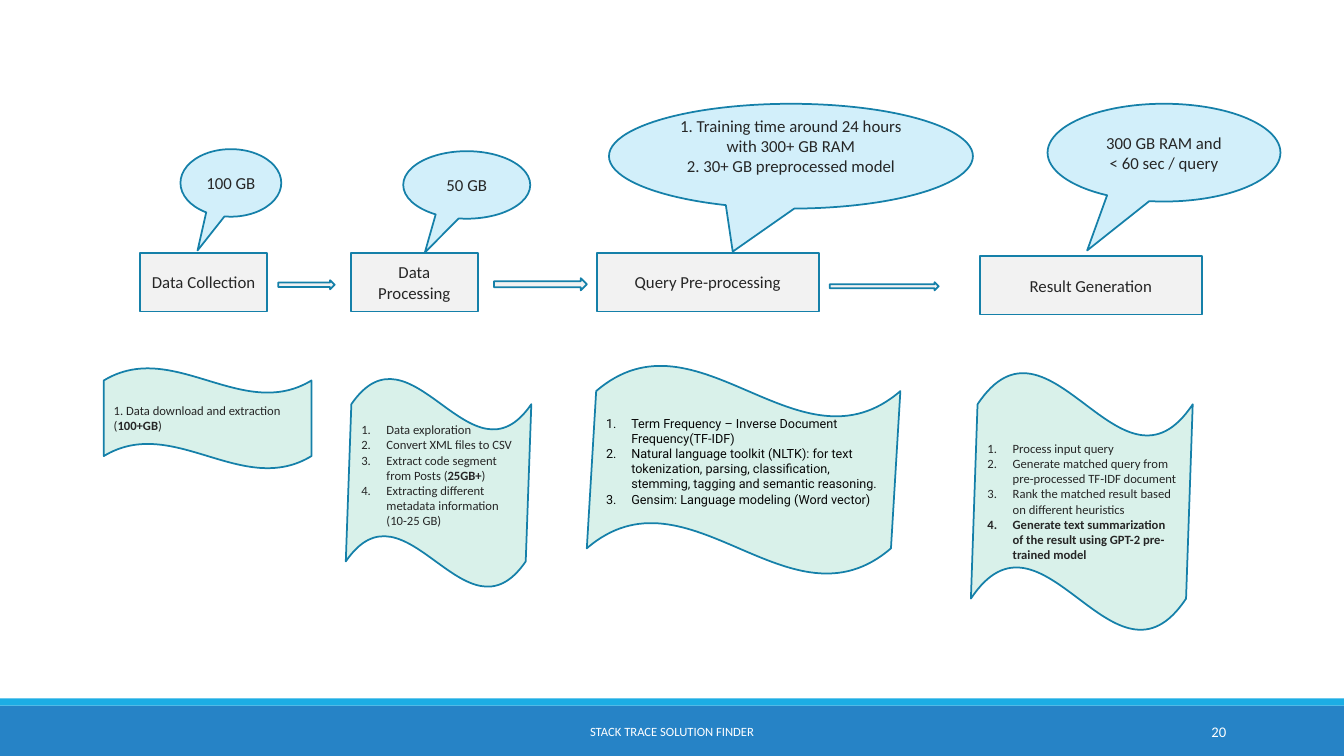
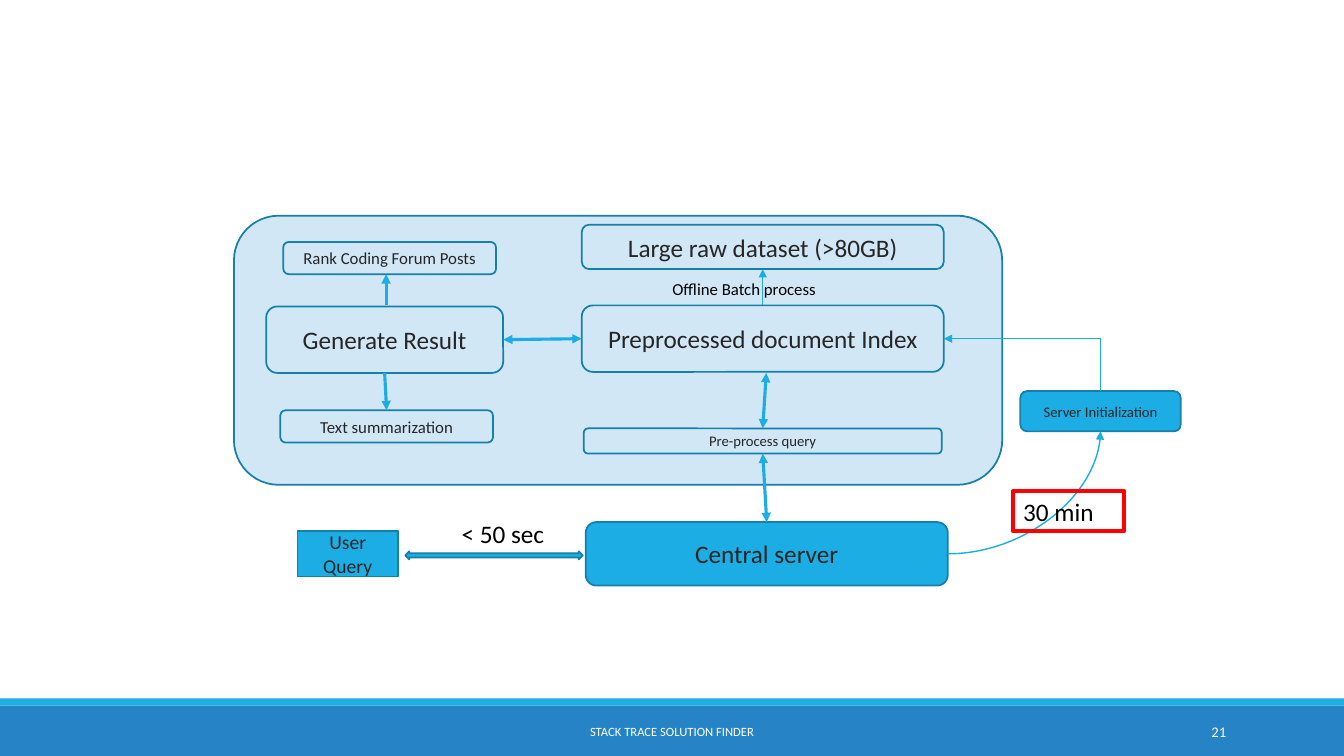
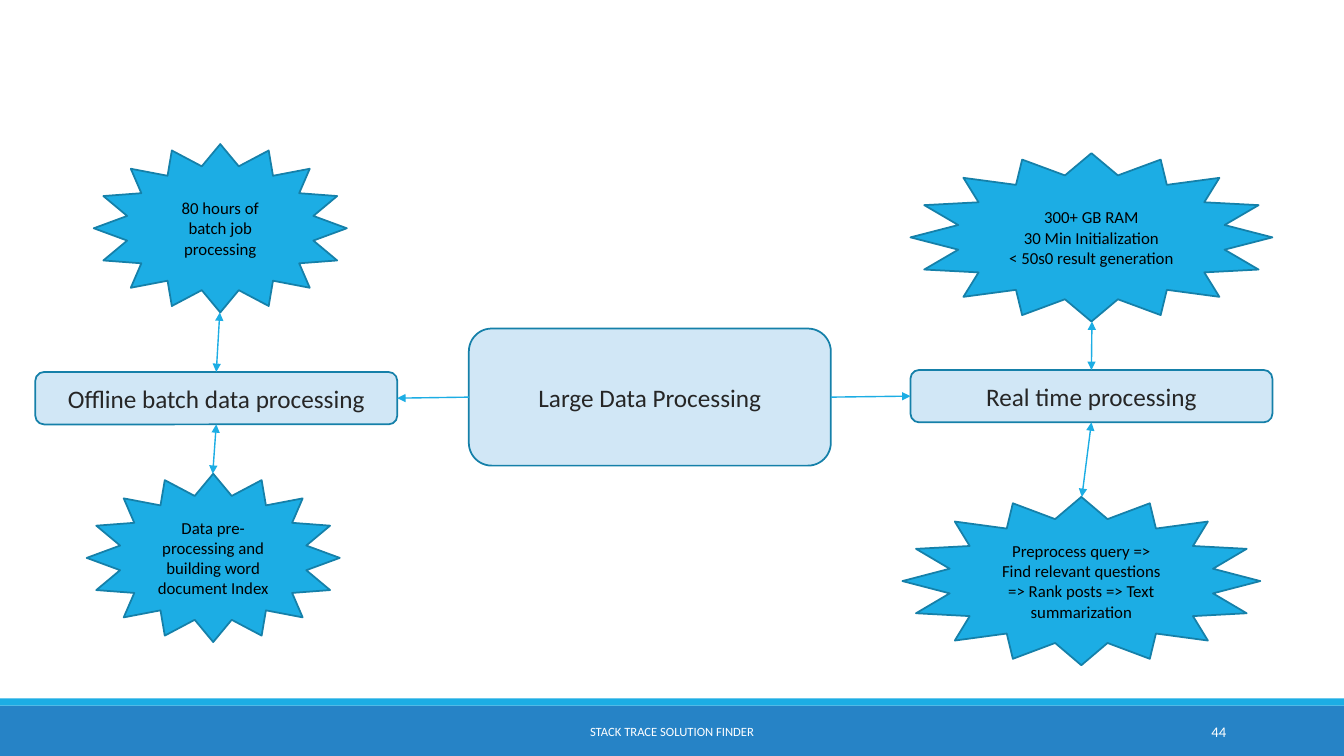
"""Build three slides on the pipeline, architecture and processing load of a stack trace finder."""
from lxml import etree
from pptx import Presentation
from pptx.dml.color import RGBColor
from pptx.enum.shapes import MSO_CONNECTOR, MSO_SHAPE
from pptx.enum.text import MSO_ANCHOR, PP_ALIGN
from pptx.oxml.ns import qn
from pptx.util import Inches, Pt

RECT = MSO_SHAPE.RECTANGLE
ROUND = MSO_SHAPE.FLOWCHART_ALTERNATE_PROCESS
ARROW = MSO_SHAPE.RIGHT_ARROW
TWO_WAY = MSO_SHAPE.LEFT_RIGHT_ARROW
WAVE = MSO_SHAPE.WAVE
CALLOUT = MSO_SHAPE.OVAL_CALLOUT
STAR = MSO_SHAPE.STAR_16_POINT
STRAIGHT, ELBOW, CURVE = MSO_CONNECTOR.STRAIGHT, MSO_CONNECTOR.ELBOW, MSO_CONNECTOR.CURVE
LEFT, CENTER, RIGHT = PP_ALIGN.LEFT, PP_ALIGN.CENTER, PP_ALIGN.RIGHT
MIDDLE = MSO_ANCHOR.MIDDLE
TOP_SIDE, LEFT_SIDE, BOTTOM_SIDE, RIGHT_SIDE = range(4)

WHITE = RGBColor(0xFF, 0xFF, 0xFF)
BLACK = RGBColor(0x00, 0x00, 0x00)
INK = RGBColor(0x26, 0x26, 0x26)
NEAR_BLACK = RGBColor(0x09, 0x09, 0x09)
RED = RGBColor(0xFF, 0x00, 0x00)
BLUE = RGBColor(0x26, 0x83, 0xC6)
CYAN = RGBColor(0x1C, 0xAD, 0xE4)
OUTLINE = RGBColor(0x15, 0x80, 0xA9)
PALE_BLUE = RGBColor(0xD1, 0xE7, 0xF6)
BUBBLE = RGBColor(0xD2, 0xEF, 0xFA)
MINT = RGBColor(0xD9, 0xF1, 0xEA)
GREY = RGBColor(0xF2, 0xF2, 0xF2)


def box(s, kind, at, fill=None, paras=(), size=12, color=INK, align=CENTER, line=OUTLINE,
        weight=1.25, font="Calibri", numbered=False, wrap=True, bottom=0.05, adj=()):
    """Add a shape, or a text box when kind is None; asterisks enclose bold text."""
    place = [Inches(v) for v in at]
    if kind is None:
        sp = s.shapes.add_textbox(*place)
    else:
        sp = s.shapes.add_shape(kind, *place)
        sp.shadow.inherit = False
        if fill is None:
            sp.fill.background()
        else:
            sp.fill.solid()
            sp.fill.fore_color.rgb = fill
        if line is None:
            sp.line.fill.background()
        else:
            sp.line.color.rgb = line
            sp.line.width = Pt(weight)
        for i, value in enumerate(adj):
            sp.adjustments[i] = value
    tf = sp.text_frame
    tf.word_wrap = wrap
    tf.vertical_anchor = MIDDLE
    tf.margin_bottom = Inches(bottom)
    for i, text in enumerate(paras):
        p = tf.add_paragraph() if i else tf.paragraphs[0]
        p.alignment = align
        if numbered:
            pPr = p._p.get_or_add_pPr()
            pPr.set("marL", str(Inches(0.25)))
            pPr.set("indent", str(-Inches(0.25)))
            etree.SubElement(pPr, qn("a:buFont"), typeface="+mj-lt")
            etree.SubElement(pPr, qn("a:buAutoNum"), type="arabicPeriod")
        for j, part in enumerate(text.split("*")):
            if part:
                r = p.add_run()
                r.text = part
                r.font.name, r.font.size = font, Pt(size)
                r.font.bold = j % 2 == 1
                r.font.color.rgb = color
    return sp


def link(s, boxes, start, end, weight=1, arrows="tail", kind=STRAIGHT, preset=None):
    """Join two ends, each a point or a box name with a side."""
    points = [(0, 0) if e[0] in boxes else e for e in (start, end)]
    c = s.shapes.add_connector(kind, *[Inches(v) for point in points for v in point])
    if start[0] in boxes:
        c.begin_connect(boxes[start[0]], start[1])
    if end[0] in boxes:
        c.end_connect(boxes[end[0]], end[1])
    c.line.color.rgb = CYAN
    c.line.width = Pt(weight)
    spPr = c.element.spPr
    for arrow in arrows.split():
        etree.SubElement(spPr.find(qn("a:ln")), qn(f"a:{arrow}End"), type="triangle")
    etree.SubElement(spPr, qn("a:effectLst"))
    if preset:
        spPr.find(qn("a:prstGeom")).set("prst", preset)


prs = Presentation()
prs.slide_width, prs.slide_height = Inches(13.33), Inches(7.5)
blank = prs.slide_layouts[6]
slides = [prs.slides.add_slide(blank) for _ in range(3)]
pipeline, architecture, workload = slides

for at, fill in (((0, 7, 13.33, 0.5), BLUE), ((0, 6.93, 13.33, 0.07), CYAN)):
    band = box(pipeline, RECT, at, fill, line=None)
    blank.shapes.element.append(band.element)

for s, number in zip(slides, ("20", "21", "44")):
    box(s, None, (4.03, 7.06, 5.27, 0.4), paras=["STACK TRACE SOLUTION FINDER"], size=9, color=WHITE)
    box(s, None, (10.83, 7.06, 1.43, 0.4), paras=[number], size=10.5, color=WHITE, align=RIGHT)

for x, y, w, text in (
    (1.39, 2.51, 1.26, "Data Collection"),
    (3.48, 2.51, 1.26, "Data Processing"),
    (5.92, 2.51, 2.2, "Query Pre-processing"),
    (9.72, 2.54, 2.2, "Result Generation"),
):
    box(pipeline, RECT, (x, y, w, 0.58), GREY, [text])

for at in ((2.76, 2.78, 0.56, 0.09), (4.9, 2.76, 0.92, 0.12), (8.23, 2.8, 1.08, 0.08)):
    box(pipeline, ARROW, at, GREY)

box(pipeline, WAVE, (1.03, 3.65, 2.06, 1), MINT,
    ["1. Data download and extraction (*100+GB*)"], size=9, align=LEFT)

for at, bottom, font, color, steps in (
    ((3.43, 3.75, 1.84, 2.08), 0.2, "Calibri", INK, [
        "Data exploration",
        "Convert XML files to CSV",
        "Extract code segment from Posts (*25GB+*)",
        "Extracting different metadata information (10-25 GB)",
    ]),
    ((5.82, 3.62, 3.11, 2.08), 0.22, "Roboto", NEAR_BLACK, [
        "Term Frequency – Inverse Document Frequency(TF-IDF)",
        "Natural language toolkit (NLTK): for text tokenization, parsing, classification, "
        "stemming, tagging and semantic reasoning.",
        "Gensim: Language modeling (Word vector)",
    ]),
    ((9.63, 3.69, 2.2, 2.57), 0.05, "Calibri", INK, [
        "Process input query",
        "Generate matched query from pre-processed TF-IDF document",
        "Rank the matched result based on different heuristics",
        "*Generate text summarization of the result using GPT-2 pre-trained model*",
    ]),
):
    box(pipeline, WAVE, at, MINT, steps, size=9, color=color, align=LEFT, font=font,
        numbered=True, bottom=bottom, adj=(0.125, -0.015))

for at, tip, bottom, lines in (
    ((1.79, 1.48, 1, 0.67), (-0.33, 1), 0.05, ["100 GB"]),
    ((4, 1.5, 1.26, 0.67), (-0.33, 1), 0.05, ["50 GB"]),
    ((6.04, 1.03, 3.61, 1.04), (-0.16, 0.91), 0.25,
     ["1. Training time around 24 hours with 300+ GB RAM", "2. 30+ GB preprocessed model"]),
    ((10.39, 1.03, 2.31, 0.97), (-0.33, 1), 0.05, ["300 GB RAM and", "< 60 sec / query"]),
):
    box(pipeline, CALLOUT, at, BUBBLE, lines, bottom=bottom, adj=tip)

box(architecture, ROUND, (2.32, 2.14, 7.62, 2.67), PALE_BLUE)
parts = {}
for name, at, fill, text, size in (
    ("server", (5.81, 5.18, 3.59, 0.63), CYAN, "Central server", 18),
    ("dataset", (5.77, 2.23, 3.59, 0.44), PALE_BLUE, "Large raw dataset (>80GB)", 18),
    ("index", (5.77, 3.03, 3.59, 0.66), PALE_BLUE, "Preprocessed document Index", 18),
    ("query", (5.79, 4.25, 3.55, 0.25), PALE_BLUE, "Pre-process query", 10.5),
    ("startup", (10.12, 3.88, 1.59, 0.4), CYAN, "Server Initialization", 10.5),
    ("result", (2.64, 3.04, 2.35, 0.66), PALE_BLUE, "Generate Result", 18),
    ("rank", (2.81, 2.4, 2.11, 0.32), PALE_BLUE, "Rank Coding Forum Posts", 12),
    ("summary", (2.78, 4.07, 2.11, 0.32), PALE_BLUE, "Text summarization", 12),
):
    parts[name] = box(architecture, ROUND, at, fill, [text], size)
box(architecture, RECT, (2.95, 5.27, 1, 0.45), CYAN, ["User Query"], 14)
box(architecture, TWO_WAY, (4.02, 5.47, 1.76, 0.08), CYAN)

for start, end, weight, arrows in (
    (("index", TOP_SIDE), ("dataset", BOTTOM_SIDE), 1, "tail"),
    ((3.83, 3.03), (3.83, 2.72), 2.25, "tail"),
    (("result", BOTTOM_SIDE), ("summary", TOP_SIDE), 2.25, "tail"),
    (("result", RIGHT_SIDE), ("index", LEFT_SIDE), 2.25, "head tail"),
    ((7.6, 3.7), ("query", TOP_SIDE), 2.25, "head tail"),
    (("query", BOTTOM_SIDE), ("server", TOP_SIDE), 2.25, "head tail"),
):
    link(architecture, parts, start, end, weight, arrows)
link(architecture, parts, ("server", RIGHT_SIDE), ("startup", BOTTOM_SIDE),
     kind=CURVE, preset="curvedConnector2")
link(architecture, parts, ("index", RIGHT_SIDE), ("startup", TOP_SIDE), arrows="head",
     kind=ELBOW, preset="bentConnector2")

for at, text, size in (
    ((6.57, 2.72, 1.65, 0.3), "Offline Batch process", 12),
    ((4.48, 5.09, 1.03, 0.4), "< 50 sec", 18),
):
    box(architecture, None, at, paras=[text], size=size, color=BLACK, align=LEFT, wrap=False)
box(architecture, RECT, (10.05, 4.87, 1.1, 0.4), None, ["30 min"], 18, BLACK, LEFT, RED, 3)

modes = {}
for name, at, text in (
    ("hub", (4.65, 3.26, 3.59, 1.36), "Large Data Processing"),
    ("offline", (0.35, 3.69, 3.59, 0.52), "Offline batch data processing"),
    ("realtime", (9.03, 3.67, 3.59, 0.52), "Real time processing"),
):
    modes[name] = box(workload, ROUND, at, PALE_BLUE, [text], 18)

for x, y, w, lines in (
    (0.86, 4.7, 2.51, ["Data pre-processing and building word document Index"]),
    (0.93, 1.43, 2.51, ["80 hours of batch job processing"]),
    (9.03, 1.52, 3.59, ["300+ GB RAM", "30 Min Initialization", "< 50s0 result generation"]),
    (8.95, 4.93, 3.55,
     ["Preprocess query => Find relevant questions => Rank posts => Text summarization"]),
):
    box(workload, STAR, (x, y, w, 1.67), CYAN, lines, color=BLACK)

for start, end, arrows in (
    (("hub", RIGHT_SIDE), ("realtime", LEFT_SIDE), "tail"),
    (("hub", LEFT_SIDE), ("offline", RIGHT_SIDE), "tail"),
    (("offline", TOP_SIDE), (2.18, 3.1), "head tail"),
    (("offline", BOTTOM_SIDE), (2.11, 4.7), "head tail"),
    (("realtime", TOP_SIDE), (10.83, 3.19), "head tail"),
    (("realtime", BOTTOM_SIDE), (10.73, 4.93), "head tail"),
):
    link(workload, modes, start, end, arrows=arrows)

prs.save("out.pptx")
